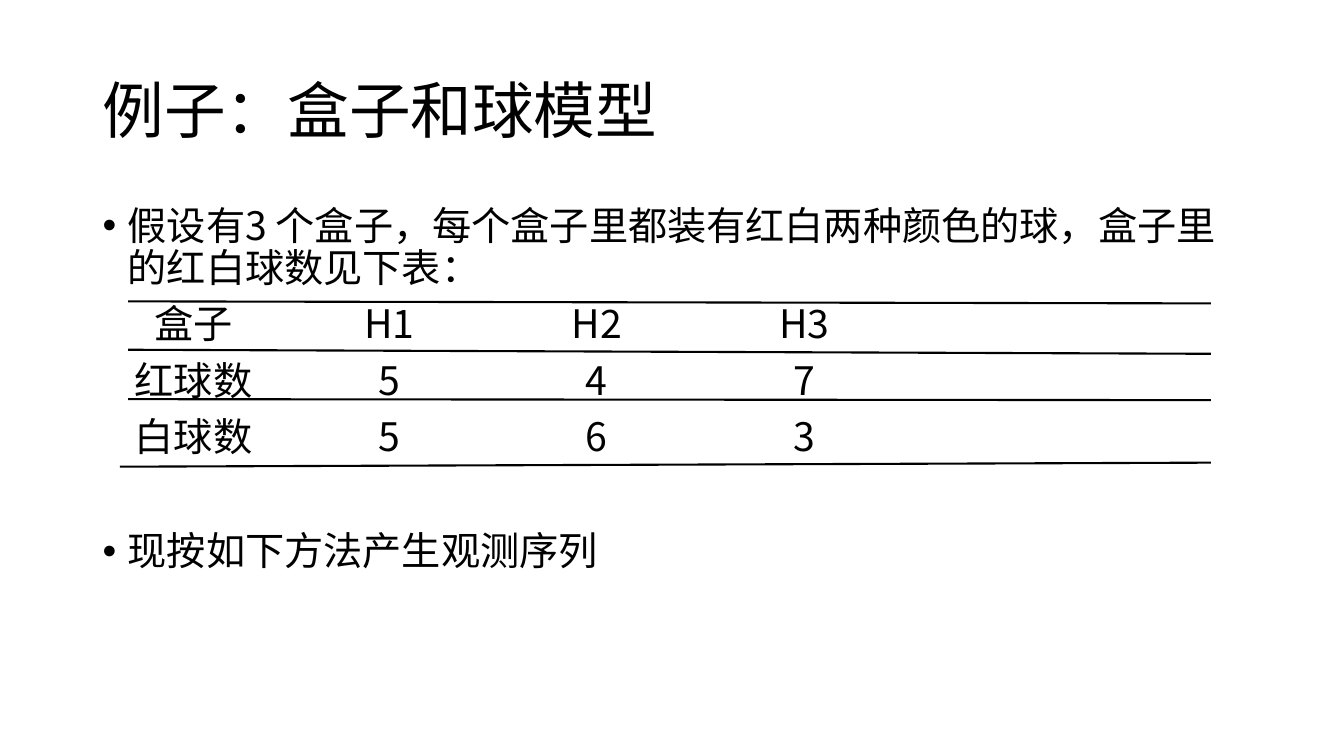
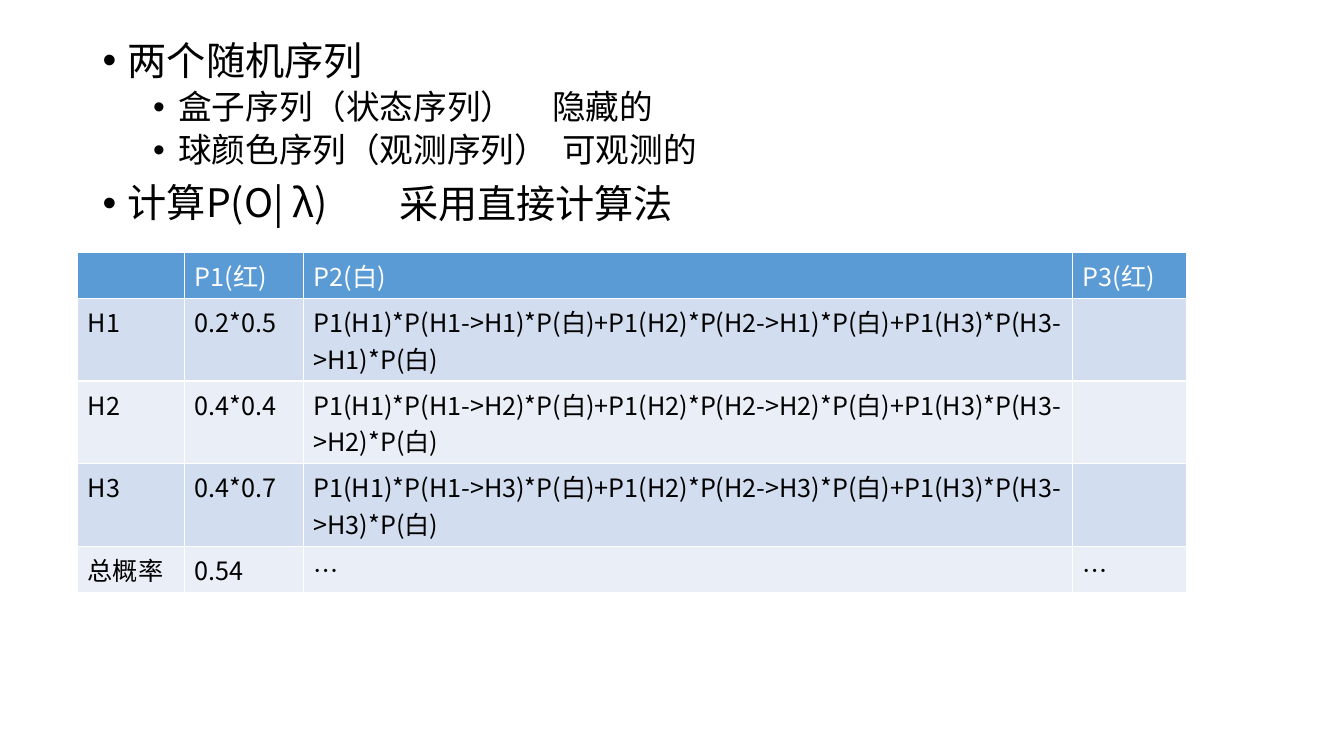
from lxml import etree
from pptx import Presentation
from pptx.dml.color import RGBColor
from pptx.enum.shapes import MSO_CONNECTOR
from pptx.enum.text import MSO_ANCHOR, PP_ALIGN
from pptx.oxml.ns import qn
from pptx.util import Inches, Pt

STRAIGHT = MSO_CONNECTOR.STRAIGHT
TOP, MIDDLE = MSO_ANCHOR.TOP, MSO_ANCHOR.MIDDLE
LEFT, CENTER = PP_ALIGN.LEFT, PP_ALIGN.CENTER

BLACK = RGBColor(0x00, 0x00, 0x00)
WHITE = RGBColor(0xFF, 0xFF, 0xFF)
HEADER_BLUE = RGBColor(0x5B, 0x9B, 0xD5)
BAND_DARK = RGBColor(0xD2, 0xDE, 0xEF)
BAND_LIGHT = RGBColor(0xEA, 0xEF, 0xF7)
FONT = "Noto Sans CJK SC"
MARGIN, CONTENT_WIDTH = 0.92, 11.5


def format_paragraph(paragraph, size, color=BLACK, align=LEFT):
    paragraph.alignment = align
    for run in paragraph.runs:
        run.font.name = FONT
        run.font.size = Pt(size)
        run.font.bold = False
        run.font.color.rgb = color
        east_asian = etree.SubElement(run.font._element, qn("a:ea"))
        east_asian.set("typeface", FONT)


def add_text(slide, left, top, width, height, lines, anchor=TOP):
    text_frame = slide.shapes.add_textbox(
        Inches(left), Inches(top), Inches(width), Inches(height)).text_frame
    text_frame.word_wrap = True
    text_frame.vertical_anchor = anchor
    text_frame.text = "\n".join(line[0] for line in lines)
    for paragraph, (_, size, space, indent, bullet) in zip(text_frame.paragraphs, lines):
        format_paragraph(paragraph, size)
        paragraph.line_spacing = 0.9
        paragraph.space_before = Pt(space)
        properties = paragraph._p.get_or_add_pPr()
        properties.set("marL", str(Inches(indent)))
        if bullet:
            properties.set("indent", str(Inches(-0.25)))
            etree.SubElement(properties, qn("a:buFont")).set("typeface", "Arial")
            etree.SubElement(properties, qn("a:buChar")).set("char", "•")


presentation = Presentation()
presentation.slide_width = Inches(13.33)
presentation.slide_height = Inches(7.5)
blank_layout = presentation.slide_layouts[6]

slide = presentation.slides.add_slide(blank_layout)
add_text(slide, MARGIN, 0.4, CONTENT_WIDTH, 1.45,
         [("例子：盒子和球模型", 44, 0, 0, False)], MIDDLE)
add_text(slide, MARGIN, 2, CONTENT_WIDTH, 0.95,
         [("假设有3 个盒子，每个盒子里都装有红白两种颜色的球，盒子里的红白球数见下表：",
           28, 10, 0.25, True)])
add_text(slide, MARGIN, 5.23, CONTENT_WIDTH, 0.6,
         [("现按如下方法产生观测序列", 28, 10, 0.25, True)])

ball_rows = [
    ("盒子", "H1", "H2", "H3"),
    ("红球数", "5", "4", "7"),
    ("白球数", "5", "6", "3"),
]
ball_widths = [1.82, 2.06, 2.06, 2.06]
ball_table = slide.shapes.add_table(
    len(ball_rows), len(ball_widths), Inches(1.01), Inches(2.93),
    Inches(sum(ball_widths)), Inches(0.56 * len(ball_rows))).table
ball_table.first_row = False
ball_table.horz_banding = False
for column, width in zip(ball_table.columns, ball_widths):
    column.width = Inches(width)
for row, values in zip(ball_table.rows, ball_rows):
    row.height = Inches(0.56)
    for cell, value in zip(row.cells, values):
        cell.fill.background()
        cell.margin_top = cell.margin_bottom = 0
        cell.vertical_anchor = MIDDLE
        cell.text_frame.text = value
        paragraph = cell.text_frame.paragraphs[0]
        format_paragraph(paragraph, 28, align=CENTER)
        paragraph.line_spacing = 0.9

for start_x, start_y, end_y in [
    (1.27, 2.99, 3.01), (1.27, 3.47, 3.51), (1.27, 3.96, 3.97), (1.19, 4.63, 4.59),
]:
    rule = slide.shapes.add_connector(
        STRAIGHT, Inches(start_x), Inches(start_y), Inches(12.01), Inches(end_y))
    rule.line.color.rgb = BLACK
    rule.line.width = Pt(1.5)
    etree.SubElement(rule._element.spPr, qn("a:effectLst"))

slide = presentation.slides.add_slide(blank_layout)
add_text(slide, MARGIN, 0.36, CONTENT_WIDTH, 2.1, [
    ("两个随机序列", 28, 10, 0.25, True),
    ("盒子序列（状态序列）", 24, 5, 0.75, True),
    ("球颜色序列（观测序列）", 24, 5, 0.75, True),
    ("计算P(O| λ)", 28, 10, 0.25, True),
])
add_text(slide, 3.86, 0.85, 5, 1.6, [
    ("隐藏的", 24, 5, 1.52, False),
    ("可观测的", 24, 5, 1.62, False),
    ("采用直接计算法", 28, 10, 0, False),
])

probability_rows = [("", "P1(红)", "P2(白)", "P3(红)")]
for state, first_step in [("H1", "0.2*0.5"), ("H2", "0.4*0.4"), ("H3", "0.4*0.7")]:
    second_step = "+".join(
        f"P1({source})*P({source}->{state})*P(白)" for source in ("H1", "H2", "H3"))
    probability_rows.append((state, first_step, second_step, ""))
probability_rows.append(("总概率", "0.54", "…", "…"))

probability_widths = [1.06, 1.18, 7.63, 1.13]
probability_heights = [0.46, 0.82, 0.82, 0.82, 0.46]
probability_table = slide.shapes.add_table(
    len(probability_rows), len(probability_widths), Inches(0.77), Inches(2.5),
    Inches(sum(probability_widths)), Inches(sum(probability_heights))).table
for column, width in zip(probability_table.columns, probability_widths):
    column.width = Inches(width)
for index, values in enumerate(probability_rows):
    row = probability_table.rows[index]
    row.height = Inches(probability_heights[index])
    if index == 0:
        fill_color, text_color = HEADER_BLUE, WHITE
    else:
        fill_color, text_color = (BAND_DARK if index % 2 else BAND_LIGHT), BLACK
    for cell, value in zip(row.cells, values):
        cell.fill.solid()
        cell.fill.fore_color.rgb = fill_color
        cell.text_frame.text = value
        format_paragraph(cell.text_frame.paragraphs[0], 18, text_color)

presentation.save("out.pptx")
